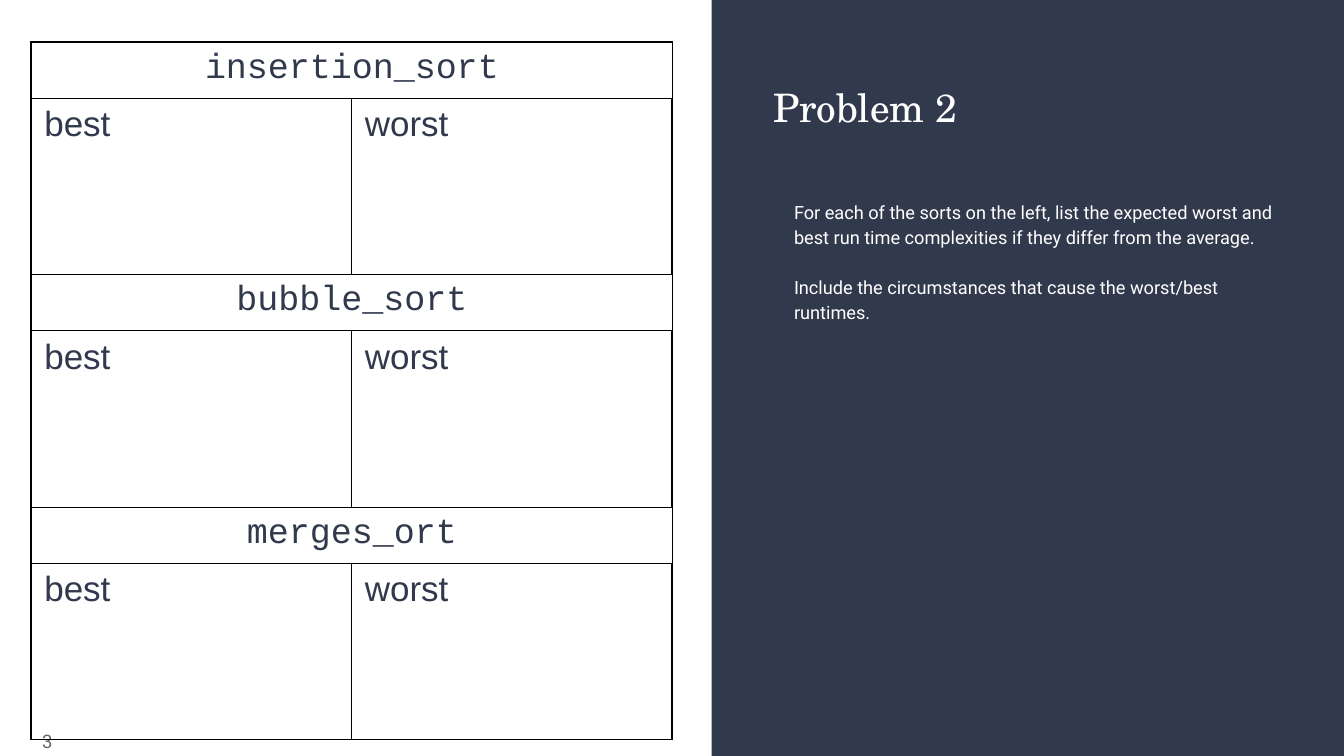
from pptx import Presentation
from pptx import util as u
from pptx.dml.color import RGBColor
from pptx.enum import shapes, text
from lxml import etree

Pt = u.Pt
NAVY, WHITE, BLACK, GREY = "31394D", "FFFFFF", "000000", "666666"
ALIGN = text.PP_ALIGN
NS = "http://schemas.openxmlformats.org/drawingml/2006/main"


def paint(target, color):
    target.solid()
    target.fore_color.rgb = RGBColor.from_string(color)


def write(frame, lines, size, font, color=NAVY, align=ALIGN.LEFT,
          anchor=text.MSO_ANCHOR.TOP, pad=(7.2, 7.2), space=1, gap=0):
    frame.word_wrap = True
    frame.vertical_anchor = anchor
    frame.margin_left = frame.margin_right = Pt(pad[0])
    frame.margin_top = frame.margin_bottom = Pt(pad[1])
    for i, line in enumerate(lines):
        para = frame.paragraphs[0] if i == 0 else frame.add_paragraph()
        para.alignment = align
        para.line_spacing = space
        para.space_before = Pt(gap if i else 0)
        run = para.add_run()
        run.text = line
        run.font.size = Pt(size)
        run.font.name = font
        run.font.color.rgb = RGBColor.from_string(color)


def edge(cell, side, width):
    line = etree.SubElement(cell._tc.get_or_add_tcPr(), f"{{{NS}}}ln{side}",
                            w=str(Pt(width)))
    fill = etree.SubElement(line, f"{{{NS}}}solidFill")
    etree.SubElement(fill, f"{{{NS}}}srgbClr", val=BLACK)


def sort_grid(slide, left, top, width, height, sorts):
    count = 2 * len(sorts)
    head = 39.6
    body = height / len(sorts) - head
    grid = slide.shapes.add_table(count, 2, Pt(left), Pt(top),
                                  Pt(width), Pt(height)).table
    grid.first_row = grid.horz_banding = False
    for col in grid.columns:
        col.width = Pt(width / 2)
    for r in range(count):
        grid.rows[r].height = Pt(body if r % 2 else head)
        for c in range(2):
            cell = grid.cell(r, c)
            outer = {"L": c == 0, "R": c == 1, "T": r == 0, "B": r == count - 1}
            for side, thick in outer.items():
                edge(cell, side, 1.5 if thick else 0.75)
            cell.fill.background()
    for i, name in enumerate(sorts):
        title = grid.cell(2 * i, 0)
        title.merge(grid.cell(2 * i, 1))
        cells = [(title, name, "Courier New", ALIGN.CENTER)]
        cells += [(grid.cell(2 * i + 1, c), word, "Arial", ALIGN.LEFT)
                  for c, word in enumerate(("best", "worst"))]
        for cell, word, font, align in cells:
            cell.margin_left = cell.margin_right = Pt(9.4)
            cell.margin_top = cell.margin_bottom = Pt(5)
            write(cell.text_frame, [word], 25, font, align=align, pad=(9.4, 5))


def task_panel(slide, left, top, width, height, title, lines):
    panel = slide.shapes.add_shape(shapes.MSO_SHAPE.RECTANGLE, Pt(left), Pt(top),
                                   Pt(width), Pt(height))
    panel.shadow.inherit = False
    paint(panel.fill, NAVY)
    panel.line.fill.background()
    head = slide.shapes.title
    head.element.addprevious(panel.element)
    head.left, head.top = Pt(left + 36.7), Pt(top + 52.5)
    head.width, head.height = Pt(389), Pt(67)
    write(head.text_frame, [title], 28, "TeX Gyre Schola", WHITE)
    head.text_frame.auto_size = text.MSO_AUTO_SIZE.NONE
    body = slide.shapes.add_textbox(Pt(left + 51.8), Pt(top + 134), Pt(373.9), Pt(281))
    write(body.text_frame, lines, 13, "Roboto", WHITE, space=1.15, gap=17.9)


def page_mark(slide, left, top, width, height, number):
    box = slide.shapes.add_textbox(Pt(left), Pt(top), Pt(width), Pt(height))
    write(box.text_frame, [number], 13.3, "Roboto", GREY, ALIGN.RIGHT,
          text.MSO_ANCHOR.MIDDLE)


deck = Presentation()
deck.slide_width, deck.slide_height = Pt(960), Pt(540)
slide = deck.slides.add_slide(deck.slide_layouts[5])
task_panel(slide, 508.3, 0, 451.7, 540, "Problem 2", [
    "For each of the sorts on the left, list the expected worst and best "
    "run time complexities if they differ from the average.",
    "Include the circumstances that cause the worst/best runtimes."])
page_mark(slide, 0, 519, 44.6, 21, "3")
sort_grid(slide, 22.3, 30.2, 458, 496.8,
          ["insertion_sort", "bubble_sort", "merges_ort"])
deck.save("out.pptx")
